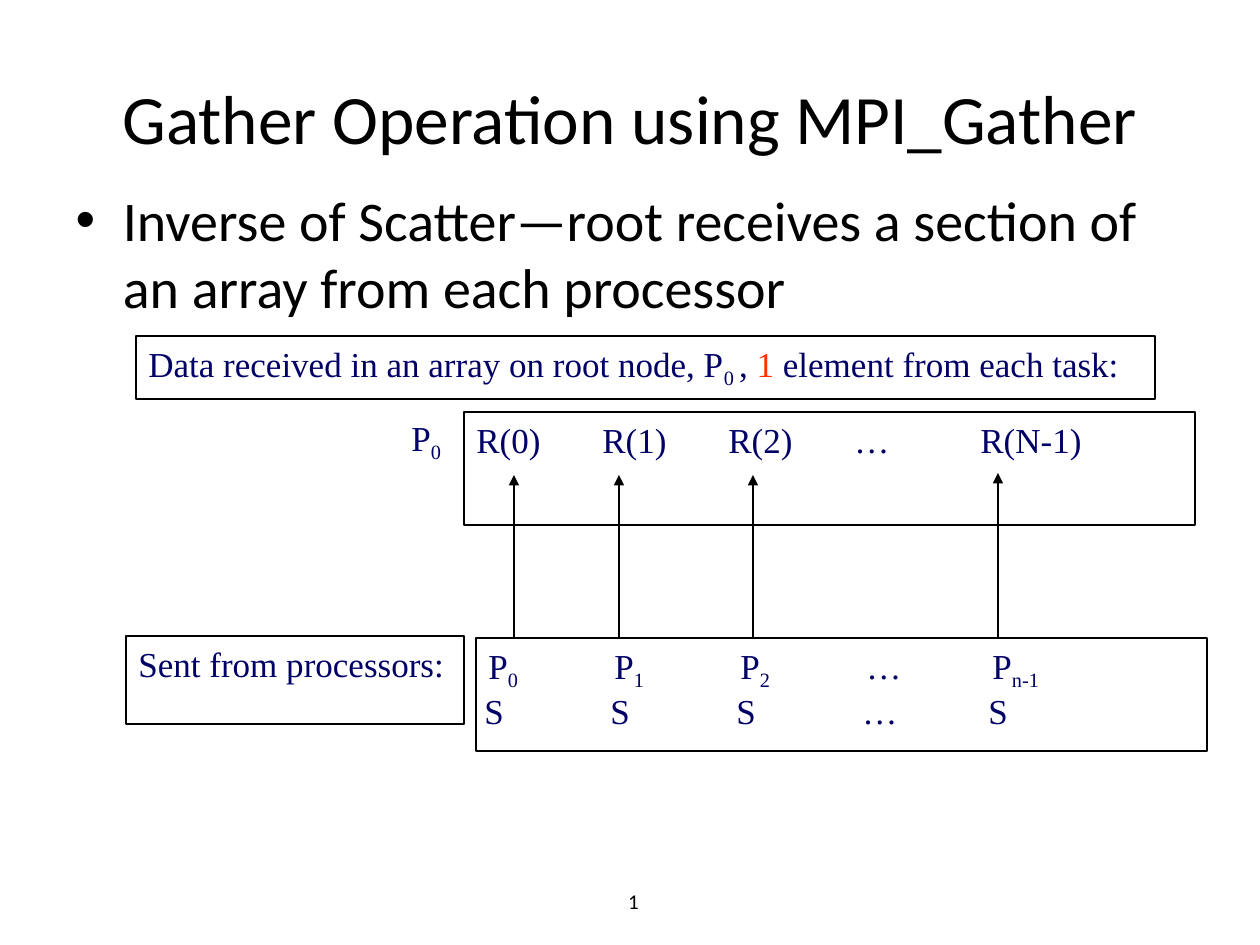
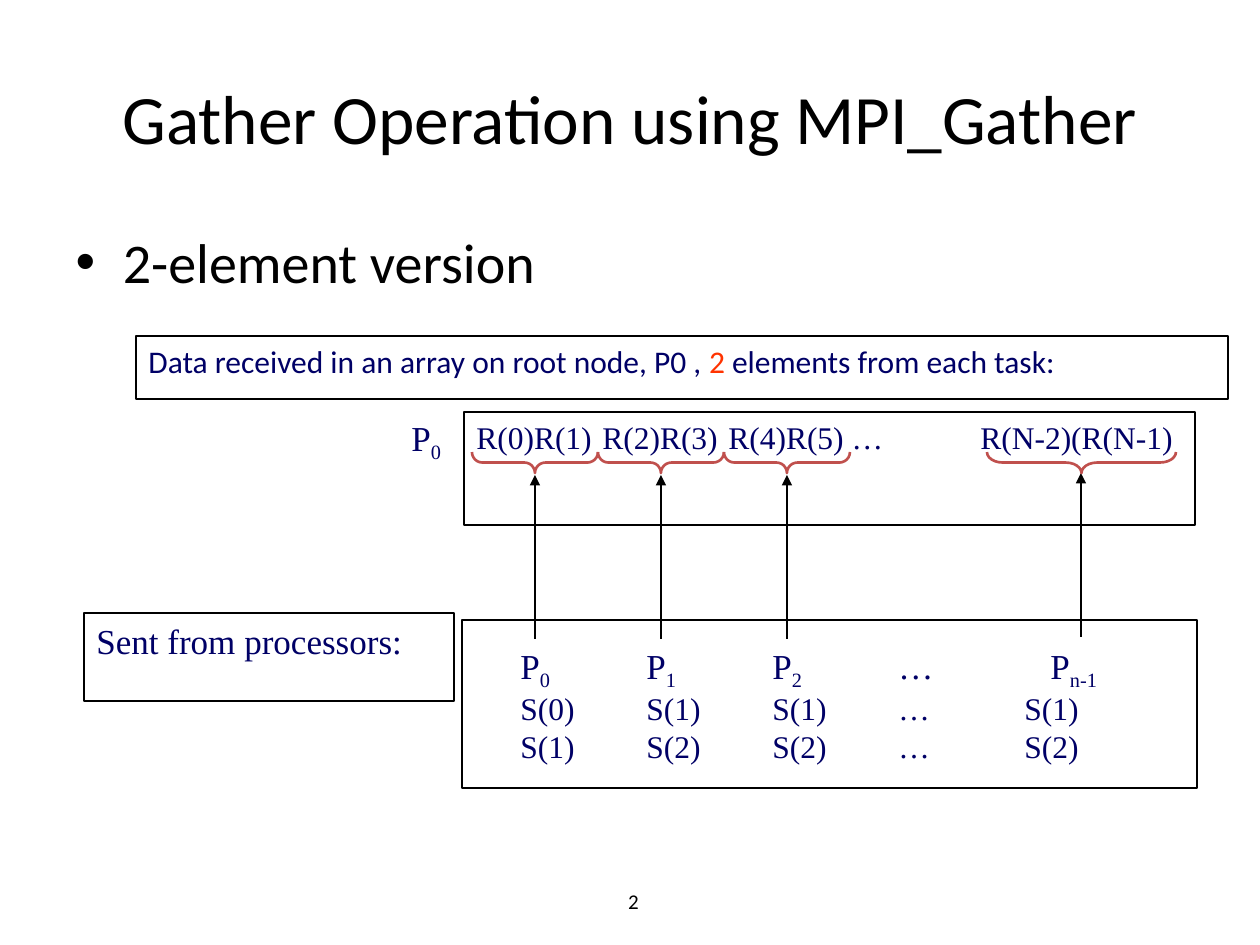
from lxml.etree import SubElement
from pptx import Presentation
from pptx.dml.color import RGBColor
from pptx.enum.shapes import MSO_CONNECTOR, MSO_SHAPE
from pptx.enum.text import MSO_ANCHOR, MSO_AUTO_SIZE, PP_ALIGN
from pptx.oxml.ns import qn
from pptx.util import Emu, Inches, Pt

BLACK = RGBColor(0x00, 0x00, 0x00)
WHITE = RGBColor(0xFF, 0xFF, 0xFF)
NAVY = RGBColor(0x00, 0x00, 0x66)
ORANGE = RGBColor(0xFF, 0x33, 0x00)
BRICK = RGBColor(0xC0, 0x50, 0x4D)
SANS = "Calibri"
SERIF = "Times New Roman"
PIXELS_PER_INCH = 126
COLUMN = 126
COLUMNS = [COLUMN * number for number in range(1, 5)]
SUBSCRIPT = "subscript"
ACCENT = "accent"
ROOT = ["P", ("0", SUBSCRIPT)]
SENDERS = ["P", ("0\t", SUBSCRIPT), "P", ("1\t", SUBSCRIPT),
           "P", ("2", SUBSCRIPT), "\t…\tP", ("n-1", SUBSCRIPT)]


def px(pixels):
    return Emu(round(pixels * 914400 / PIXELS_PER_INCH))


class Deck:
    def __init__(self):
        self.presentation = Presentation()
        self.presentation.slide_width = Inches(10)
        self.presentation.slide_height = Inches(7.5)
        self.slide = None

    def start_slide(self, title, bullet, bullet_top, number):
        layout = self.presentation.slide_layouts[1]
        self.slide = self.presentation.slides.add_slide(layout)
        self.placeholder(0, title, 38, 157, 39.6)
        self.placeholder(1, bullet, bullet_top, 624, 32)
        self.slide_number(number)

    def placeholder(self, index, text, top, height, size):
        shape = self.slide.placeholders[index]
        shape.left, shape.top = px(63), px(top)
        shape.width, shape.height = px(1134), px(height)
        shape.text_frame.text = text
        shape.text_frame.auto_size = MSO_AUTO_SIZE.NONE
        for run in shape.text_frame.paragraphs[0].runs:
            self.style(run.font, size, SANS, BLACK)

    def slide_number(self, number):
        shape = self.slide.shapes.add_textbox(px(357), px(876), px(294), px(50))
        shape.text_frame.word_wrap = True
        shape.text_frame.vertical_anchor = MSO_ANCHOR.MIDDLE
        paragraph = shape.text_frame.paragraphs[0]
        paragraph.alignment = PP_ALIGN.RIGHT
        self.style(paragraph.font, 12, SANS, BLACK)
        field = SubElement(paragraph._p, qn("a:fld"), type="slidenum",
                           id="{B6F15528-21DE-4FAA-801E-634DDDAF4B2B}")
        properties = SubElement(field, qn("a:rPr"), lang="en-US", sz="1200")
        fill = SubElement(properties, qn("a:solidFill"))
        SubElement(fill, qn("a:srgbClr"), val=str(BLACK))
        SubElement(properties, qn("a:latin"), typeface=SANS)
        SubElement(field, qn("a:t")).text = str(number)

    def style(self, font, size, name, color):
        font.size = Pt(size)
        font.name = name
        font.color.rgb = color

    def fill_text(self, shape, lines, size, name, tabs):
        frame = shape.text_frame
        frame.word_wrap = True
        frame.vertical_anchor = MSO_ANCHOR.TOP
        for index, parts in enumerate(lines):
            paragraph = frame.add_paragraph() if index else frame.paragraphs[0]
            paragraph.alignment = PP_ALIGN.LEFT
            tab_list = SubElement(paragraph._p.get_or_add_pPr(), qn("a:tabLst"))
            for position in tabs:
                SubElement(tab_list, qn("a:tab"), pos=str(px(position)), algn="l")
            for part in parts:
                text, kind = (part, None) if isinstance(part, str) else part
                run = paragraph.add_run()
                run.text = text
                self.style(run.font, size, name, ORANGE if kind == ACCENT else NAVY)
                if kind == SUBSCRIPT:
                    run._r.get_or_add_rPr().set("baseline", "-25000")

    def box(self, left, top, width, height, lines=(), size=20, name=SERIF, filled=True):
        shape = self.slide.shapes.add_shape(
            MSO_SHAPE.RECTANGLE, px(left), px(top), px(width), px(height))
        shape.shadow.inherit = False
        if filled:
            shape.fill.solid()
            shape.fill.fore_color.rgb = WHITE
        else:
            shape.fill.background()
        shape.line.color.rgb = BLACK
        shape.line.width = Pt(0.75)
        self.fill_text(shape, lines, size, name, COLUMNS)

    def label(self, left, top, width, height, lines, size=20, tabs=COLUMNS):
        shape = self.slide.shapes.add_textbox(px(left), px(top), px(width), px(height))
        self.fill_text(shape, lines, size, SERIF, tabs)

    def arrow(self, x, top, length=164):
        connector = self.slide.shapes.add_connector(
            MSO_CONNECTOR.STRAIGHT, px(x), px(top), px(x), px(top + length))
        connector.line.color.rgb = BLACK
        connector.line.width = Pt(0.75)
        properties = connector._element.spPr
        SubElement(properties.find(qn("a:ln")), qn("a:headEnd"), type="triangle")
        SubElement(properties, qn("a:effectLst"))

    def brace(self, left, length, curl, top=452, depth=21):
        shift = (length - depth) / 2
        shape = self.slide.shapes.add_shape(
            MSO_SHAPE.LEFT_BRACE, px(left + shift), px(top - shift), px(depth), px(length))
        shape.rotation = 270
        shape.adjustments[0] = curl
        shape.adjustments[1] = 0.5
        shape.shadow.inherit = False
        shape.fill.background()
        shape.line.color.rgb = BRICK
        shape.line.width = Pt(1.5)

    def received(self, text, size):
        self.box(464, 412, 731, 113, [[text]], size)
        self.label(399, 410, 63, 63, [ROOT])

    def arrows(self, positions):
        *first, last = positions
        for x in first:
            self.arrow(x, 475)
        self.arrow(last, 473)


TITLE = "Gather Operation using MPI_Gather"
deck = Deck()

deck.start_slide(
    TITLE, "Inverse of Scatter—root receives a section of an array from each processor", 179, 9)
deck.received("R(0)\tR(1)\tR(2) \t…\tR(N-1)", 20)
deck.box(126, 636, 338, 88, [["Sent from processors:"]])
deck.box(136, 336, 1019, 63, [[
    "Data received in an array on root node, P", ("0 ", SUBSCRIPT), ", ",
    ("1", ACCENT), " element from each task:"]])
deck.arrows([514, 619, 753, 998])
deck.box(476, 638, 731, 113, [SENDERS])
deck.label(472, 683, 731, 63, [["S\tS\tS \t…\tS"]])

deck.start_slide(TITLE, "2-element version", 221, 10)
deck.received("R(0)R(1)\tR(2)R(3)\tR(4)R(5) …\tR(N-2)(R(N-1)", 18)
deck.box(84, 613, 370, 88, [["Sent from processors:"]])
deck.box(136, 336, 1092, 63, [[
    "Data received in an array on root node, P0 , ",
    ("2", ACCENT), " elements from each task:"]], 18, SANS)
deck.arrows([535, 535 + COLUMN, 535 + 2 * COLUMN, 1081])
deck.label(508, 638, 731, 139, [SENDERS], tabs=COLUMNS[:3] + [530])
deck.label(508, 683, 731, 63, [
    ["S(0)\tS(1)\tS(1) \t…\tS(1)"], ["S(1)\tS(2)\tS(2)\t…\tS(2)"]], 18)
for column in range(3):
    deck.brace(472 + column * COLUMN, COLUMN, 0.5)
deck.brace(987, 189, 0.75)
deck.box(462, 620, 735, 168, filled=False)

deck.presentation.save("out.pptx")
